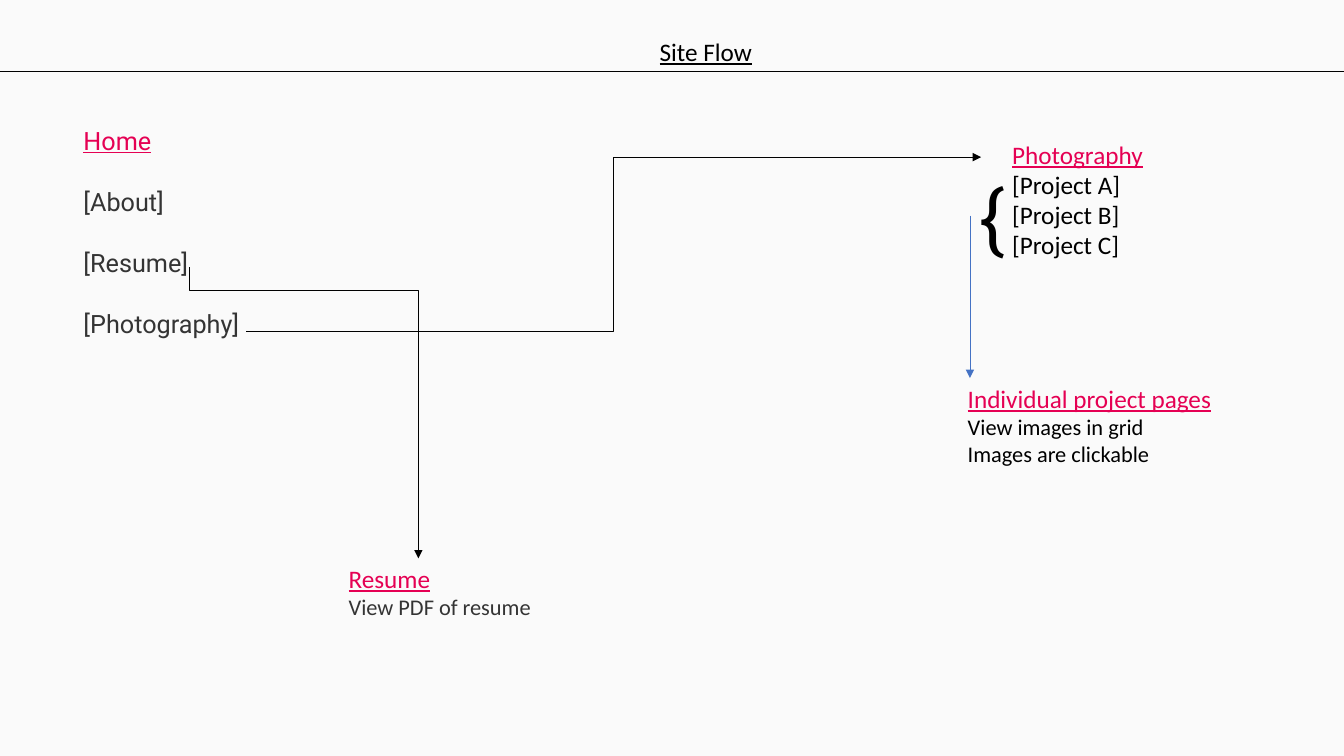
from dataclasses import dataclass
from lxml.etree import SubElement
from pptx import Presentation
from pptx.dml.color import RGBColor
from pptx.enum.shapes import MSO_CONNECTOR
from pptx.enum.text import PP_ALIGN
from pptx.oxml.ns import qn
from pptx.util import Inches, Pt


@dataclass(frozen=True)
class Theme:
    paper: str = "FAFAFA"
    black: str = "000000"
    gray: str = "343434"
    pink: str = "E50053"
    blue: str = "4472C4"
    body: str = "Calibri"
    menu: str = "Roboto"
    head: int = 18
    note: int = 16
    brace: int = 54
    gap: int = 22
    rule: float = 0.5


theme = Theme()


def color(code):
    return RGBColor.from_string(code)


def write(slide, box, lines, font=theme.body, wrap=True, gap=0, align=PP_ALIGN.LEFT):
    frame = slide.shapes.add_textbox(*map(Inches, box)).text_frame
    frame.word_wrap = wrap
    for index, (text, size, tint, under) in enumerate(lines):
        para = frame.add_paragraph() if index else frame.paragraphs[0]
        para.text = text
        para.alignment = align
        para.space_before = Pt(gap if index else 0)
        para.font.name = font
        para.font.size = Pt(size)
        para.font.color.rgb = color(tint)
        para.font.underline = under


def link(slide, start, end, kind=MSO_CONNECTOR.STRAIGHT, tint=theme.black, arrow=True):
    line = slide.shapes.add_connector(kind, *map(Inches, (*start, *end)))
    line.line.color.rgb = color(tint)
    line.line.width = Pt(theme.rule)
    props = line._element.spPr
    if arrow:
        SubElement(props.find(qn("a:ln")), qn("a:tailEnd"), type="triangle")
    SubElement(props, qn("a:effectLst"))
    return props


def drop(slide, start, end, bend):
    (left, top), (right, base) = start, end
    midx, midy = (left + right) / 2, (top + base) / 2
    long, wide = (base - top) / 2, (right - left) / 2
    props = link(slide, (midx + long, midy - wide), (midx - long, midy + wide),
                 MSO_CONNECTOR.ELBOW)
    props.find(qn("a:xfrm")).set("rot", str(270 * 60000))
    geom = props.find(qn("a:prstGeom"))
    guides = geom.find(qn("a:avLst"))
    if guides is None:
        guides = SubElement(geom, qn("a:avLst"))
    SubElement(guides, qn("a:gd"), name="adj1", fmla=f"val {round(bend * 100000)}")


def header(slide, box):
    left, top, width, height = box
    write(slide, (left + 5.38, top + 0.31, 3.24, 0.4),
          [("Site Flow", theme.head, theme.black, True)], align=PP_ALIGN.CENTER)
    link(slide, (left, top + height), (left + width, top + height), arrow=False)


def menu(slide, box):
    items = [("Home", theme.head, theme.pink, True)]
    items += [(f"[{name}]", theme.head, theme.gray, False)
              for name in ("About", "Resume", "Photography")]
    write(slide, box, items, theme.menu, gap=theme.gap)


def page(slide, box, title, notes, size=theme.note, tint=theme.black):
    lines = [(title, theme.head, theme.pink, True)]
    lines += [(note, size, tint, False) for note in notes]
    write(slide, box, lines, wrap=False)


def photos(slide, box):
    left, top, width, height = box
    page(slide, box, "Photography",
         [f"[Project {mark}]" for mark in "ABC"], theme.head)
    write(slide, (left - 0.32, top + 0.31, 0.38, 1.01),
          [("{", theme.brace, theme.black, False)], theme.menu)


def flows(slide, box):
    left, top, width, height = box
    drop(slide, (left + 1.88, top + 1.94), (left + 4.15, top + 4.83), 0.08)
    link(slide, (left + 2.44, top + 2.58), (left + 9.73, top + 0.85),
         MSO_CONNECTOR.ELBOW)
    link(slide, (left + 9.62, top + 1.43), (left + 9.62, top + 3.04), tint=theme.blue)


def build():
    deck = Presentation()
    deck.slide_width, deck.slide_height = Inches(13.33), Inches(7.5)
    slide = deck.slides.add_slide(deck.slide_layouts[6])
    fill = slide.background.fill
    fill.solid()
    fill.fore_color.rgb = color(theme.paper)
    header(slide, (0, 0, 13.33, 0.71))
    menu(slide, (0.73, 1.19, 1.86, 2.22))
    page(slide, (3.36, 5.54, 2.04, 0.67), "Resume", ["View PDF of resume"],
         tint=theme.gray)
    photos(slide, (9.94, 1.33, 1.51, 1.31))
    page(slide, (9.5, 3.75, 2.64, 0.94), "Individual project pages",
         ["View images in grid", "Images are clickable"])
    flows(slide, (0, 0.71, 13.33, 6.79))
    deck.save("out.pptx")


build()
